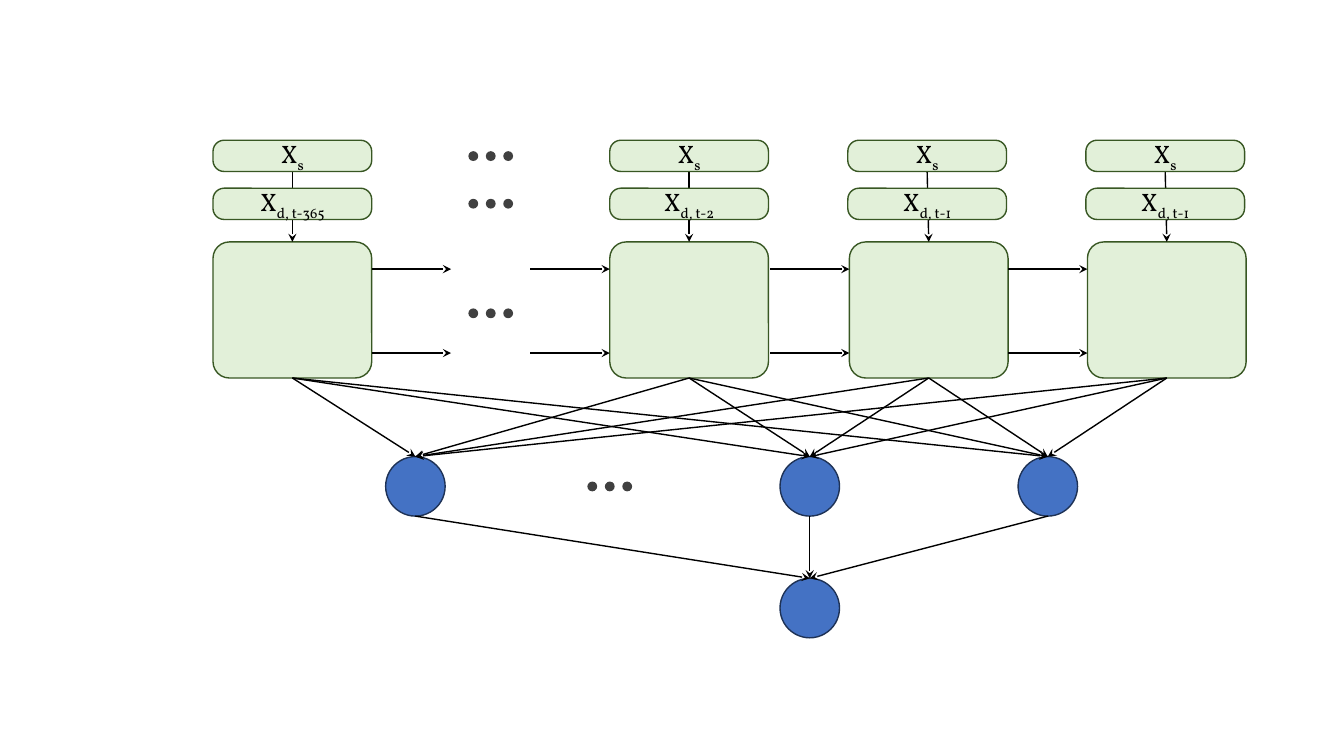
from dataclasses import dataclass
from itertools import product

from lxml.etree import SubElement
from pptx import Presentation
from pptx.dml.color import RGBColor
from pptx.enum.shapes import MSO_CONNECTOR as Connector, MSO_SHAPE as Shape
from pptx.enum.text import MSO_ANCHOR as Anchor, PP_ALIGN as Align
from pptx.oxml.ns import qn
from pptx.util import Inches, Pt


@dataclass(frozen=True)
class Theme:
    cell_fill: str = "E2F0D9"
    cell_line: str = "385723"
    neuron_fill: str = "4472C4"
    neuron_line: str = "1E3256"
    dot: str = "404040"
    ink: str = "000000"
    font: str = "Vollkorn"
    label_size: int = 18
    line_width: int = 1


theme = Theme()
presentation = Presentation()
presentation.slide_width = Inches(13.33)
presentation.slide_height = Inches(7.5)
slide = presentation.slides.add_slide(presentation.slide_layouts[6])

origin = Inches(2.9)
column = Inches(0.787)
row = presentation.slide_height / 100

cell_width = 2 * column
cell_height = 18 * row
input_height = 4.13 * row
neuron_size = 7.87 * row
dot_size = 1.3 * row
static_row, dynamic_row, cell_row = 18.55, 24.9, 32
hidden_row, output_row = 60.4, 76.5


def add_node(shapes, kind, center, top, width, height, fill, line=None):
    left = origin + center * column - width / 2
    shape = shapes.add_shape(kind, int(left), int(top * row), int(width), int(height))
    shape.shadow.inherit = False
    shape.fill.solid()
    shape.fill.fore_color.rgb = RGBColor.from_string(fill)
    if line:
        shape.line.color.rgb = RGBColor.from_string(line)
        shape.line.width = Pt(theme.line_width)
    else:
        shape.line.fill.background()
    return shape


def add_arrow(start_x, start_y, end_x, end_y):
    arrow = slide.shapes.add_connector(
        Connector.STRAIGHT, int(start_x), int(start_y), int(end_x), int(end_y))
    arrow.line.color.rgb = RGBColor.from_string(theme.ink)
    arrow.line.width = Pt(theme.line_width)
    SubElement(arrow.line._get_or_add_ln(), qn("a:tailEnd"), type="stealth")
    SubElement(arrow._element.spPr, qn("a:effectLst"))
    return arrow


cells = []
steps = [(0, 0, "d, t-365"), (5, 5, "d, t-2"), (8, 8.02, "d, t-1"), (11, 11.02, "d, t-1")]
for input_center, cell_center, dynamic_index in steps:
    cell = add_node(slide.shapes, Shape.ROUNDED_RECTANGLE, cell_center, cell_row,
                    cell_width, cell_height, theme.cell_fill, theme.cell_line)
    cell.adjustments[0] = 0.12
    cells.append(cell)
    feed = add_arrow(origin + input_center * column, static_row * row + input_height,
                     origin + cell_center * column, cell_row * row)
    feed.end_connect(cell, 0)
    for top, index in ((dynamic_row, dynamic_index), (static_row, "s")):
        box = add_node(slide.shapes, Shape.ROUNDED_RECTANGLE, input_center, top,
                       cell_width, input_height, theme.cell_fill, theme.cell_line)
        box.adjustments[0] = 0.354
        box.text_frame.vertical_anchor = Anchor.MIDDLE
        paragraph = box.text_frame.paragraphs[0]
        paragraph.alignment = Align.CENTER
        for text, baseline in (("X", 0), (index, -25000)):
            run = paragraph.add_run()
            run.text = text
            run.font.name = theme.font
            run.font.size = Pt(theme.label_size)
            run.font.color.rgb = RGBColor.from_string(theme.ink)
            if baseline:
                run._r.get_or_add_rPr().set("baseline", str(baseline))
    feed.begin_connect(box, 2)

neurons = [
    add_node(slide.shapes, Shape.OVAL, center, top, neuron_size, neuron_size,
             theme.neuron_fill, theme.neuron_line)
    for center, top in ((1.55, hidden_row), (6.52, hidden_row),
                        (9.52, hidden_row), (6.52, output_row))
]
*hidden, output = neurons

for cell, neuron in product(cells, hidden):
    link = add_arrow(cell.left + cell.width / 2, cell.top + cell.height,
                     neuron.left + neuron.width / 2, neuron.top)
    link.begin_connect(cell, 2)
    link.end_connect(neuron, 0)

for neuron in hidden:
    link = add_arrow(neuron.left + neuron.width / 2, neuron.top + neuron.height,
                     output.left + output.width / 2, output.top)
    link.end_connect(output, 0)

for center, top in ((4, 63.7), (2.5, 40.8), (2.5, 26.3), (2.5, 20)):
    ellipsis = slide.shapes.add_group_shape()
    for offset in (-0.22, 0, 0.22):
        add_node(ellipsis.shapes, Shape.OVAL, center + offset, top,
                 dot_size, dot_size, theme.dot)

for start, state_row in product((1, 3, 6.02, 9.02), (35.6, 46.7)):
    start_x = origin + start * column
    add_arrow(start_x, state_row * row, start_x + column, state_row * row)

presentation.save("out.pptx")
